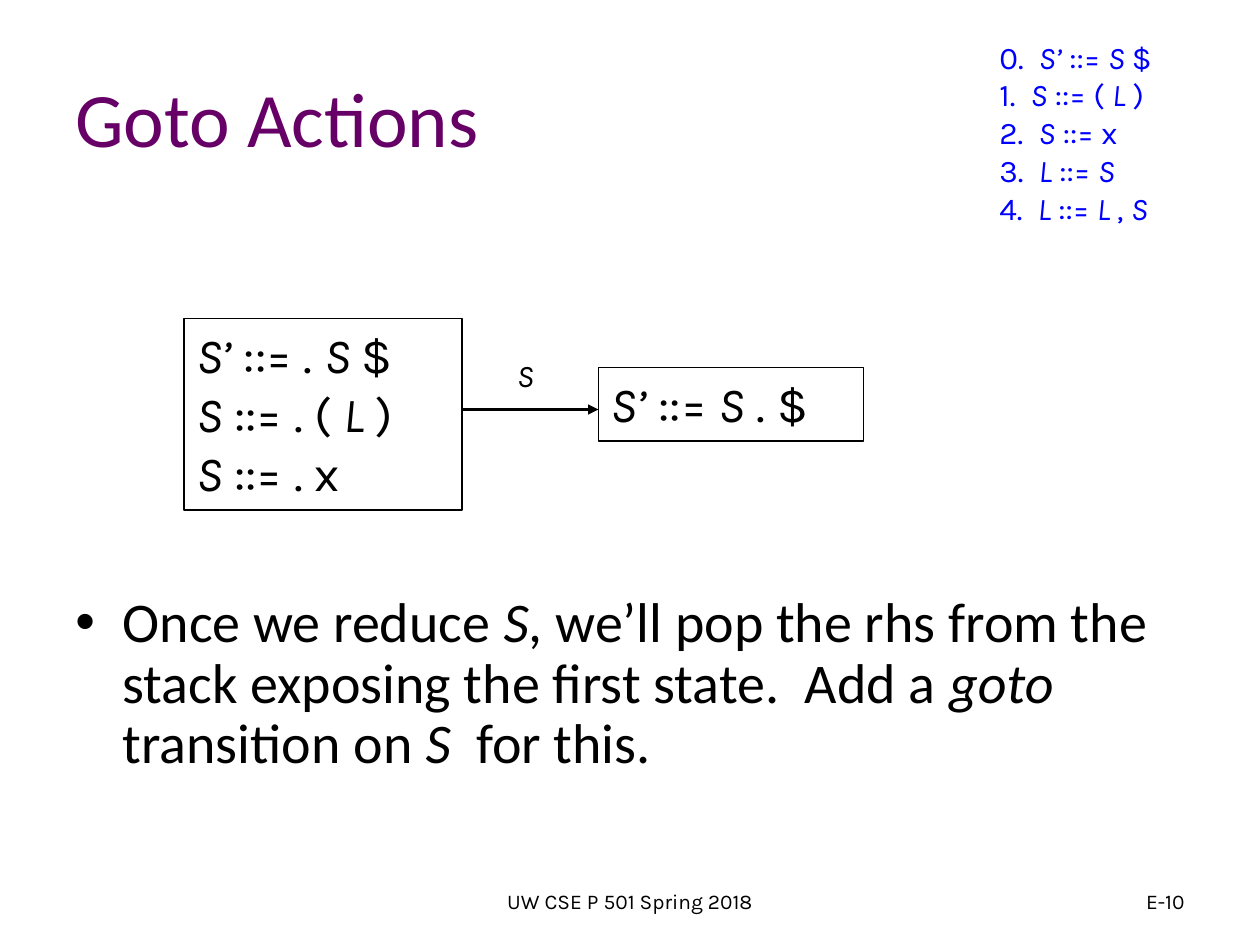
from pptx import Presentation
from pptx import util as u
from pptx.dml.color import RGBColor
from pptx.enum import shapes, text
from pptx.oxml.ns import qn
from lxml import etree

INK = {"title": "660066", "text": "000000", "rule": "0000FF", "paper": "FFFFFF"}
LEFT, MID, RIGHT = text.PP_ALIGN.LEFT, text.PP_ALIGN.CENTER, text.PP_ALIGN.RIGHT
TOP, HALF = text.MSO_ANCHOR.TOP, text.MSO_ANCHOR.MIDDLE


class Deck:
    """Hold the style and the current slide; asterisks in text switch italics."""

    def __init__(self, wide, high):
        self.show = Presentation()
        self.show.slide_width, self.show.slide_height = u.Pt(wide), u.Pt(high)
        self.slide = self.show.slides.add_slide(self.show.slide_layouts[6])
        fill = self.slide.background.fill
        fill.solid()
        fill.fore_color.rgb = RGBColor.from_string(INK["paper"])

    def typeset(self, frame, lines, size, font="Karla", ink="text", align=LEFT,
                anchor=TOP, wrap=True, indent=0, hang=0, bullet=None, space=None):
        frame.word_wrap = wrap
        frame.vertical_anchor = anchor
        for num, line in enumerate(lines):
            para = frame.add_paragraph() if num else frame.paragraphs[0]
            para.alignment = align
            if space:
                para.line_spacing = space
            props = para._p.get_or_add_pPr()
            props.set("marL", str(u.Pt(indent)))
            props.set("indent", str(u.Pt(-hang)))
            if bullet:
                etree.SubElement(props, qn("a:buFont")).set("typeface", "Arial")
                etree.SubElement(props, qn("a:buChar")).set("char", bullet)
            for turn, part in enumerate(line.split("*")):
                if part:
                    run = para.add_run()
                    run.text = part
                    run.font.size, run.font.name = u.Pt(size), font
                    run.font.italic = turn % 2 == 1
                    run.font.color.rgb = RGBColor.from_string(INK[ink])

    def label(self, place, lines, size, **style):
        box = self.slide.shapes.add_textbox(*map(u.Pt, place))
        self.typeset(box.text_frame, lines, size, **style)

    def state(self, place, items):
        box = self.slide.shapes.add_shape(shapes.MSO_SHAPE.RECTANGLE, *map(u.Pt, place))
        box.shadow.inherit = False
        box.fill.background()
        box.line.color.rgb = RGBColor.from_string(INK["text"])
        box.line.width = u.Pt(1)
        self.typeset(box.text_frame, items, 28, indent=27, hang=27)

    def arrow(self, start, end):
        line = self.slide.shapes.add_connector(
            shapes.MSO_CONNECTOR.STRAIGHT, *map(u.Pt, start + end))
        line.line.color.rgb = RGBColor.from_string(INK["text"])
        line.line.width = u.Pt(1.5)
        props = line._element.spPr
        etree.SubElement(props.get_or_add_ln(), qn("a:tailEnd")).set("type", "triangle")
        etree.SubElement(props, qn("a:effectLst"))


deck = Deck(720, 540)
deck.label((36, 21.6, 648, 90), ["Goto Actions"], 44,
           font="Calibri", ink="title", anchor=HALF)
deck.label((36, 336, 648, 146), [
    "Once we reduce *S*, we’ll pop the rhs from the stack exposing the first state.  "
    "Add a *goto* transition on *S*  for this."], 32,
    font="Calibri", indent=27, hang=27, bullet="•", space=0.9)
deck.label((246, 500.4, 228, 28.8), ["UW CSE P 501 Spring 2018"], 12,
           align=MID, anchor=HALF)
deck.label((516, 500.4, 168, 28.8), ["E-10"], 12, align=RIGHT, anchor=HALF)

deck.state((105, 182, 159, 109.5), ["*S’* ::= . *S *$", "*S* ::= . ( *L* )", "*S* ::= . x"])
deck.state((342, 210, 151.5, 42), ["*S’* ::= *S* . $"])
deck.arrow((264, 234), (342, 234))
deck.label((288, 200, 24.5, 29), ["*S*"], 18, align=MID, wrap=False)

rules = ["*S’* ::= *S *$", "*S* ::= ( *L* )", "*S* ::= x", "*L* ::= *S*", "*L* ::= *L *, *S*"]
deck.label((528, 18, 168, 117), [f"{num}.  {rule}" for num, rule in enumerate(rules)],
           18, ink="rule", indent=36)
deck.show.save("out.pptx")
